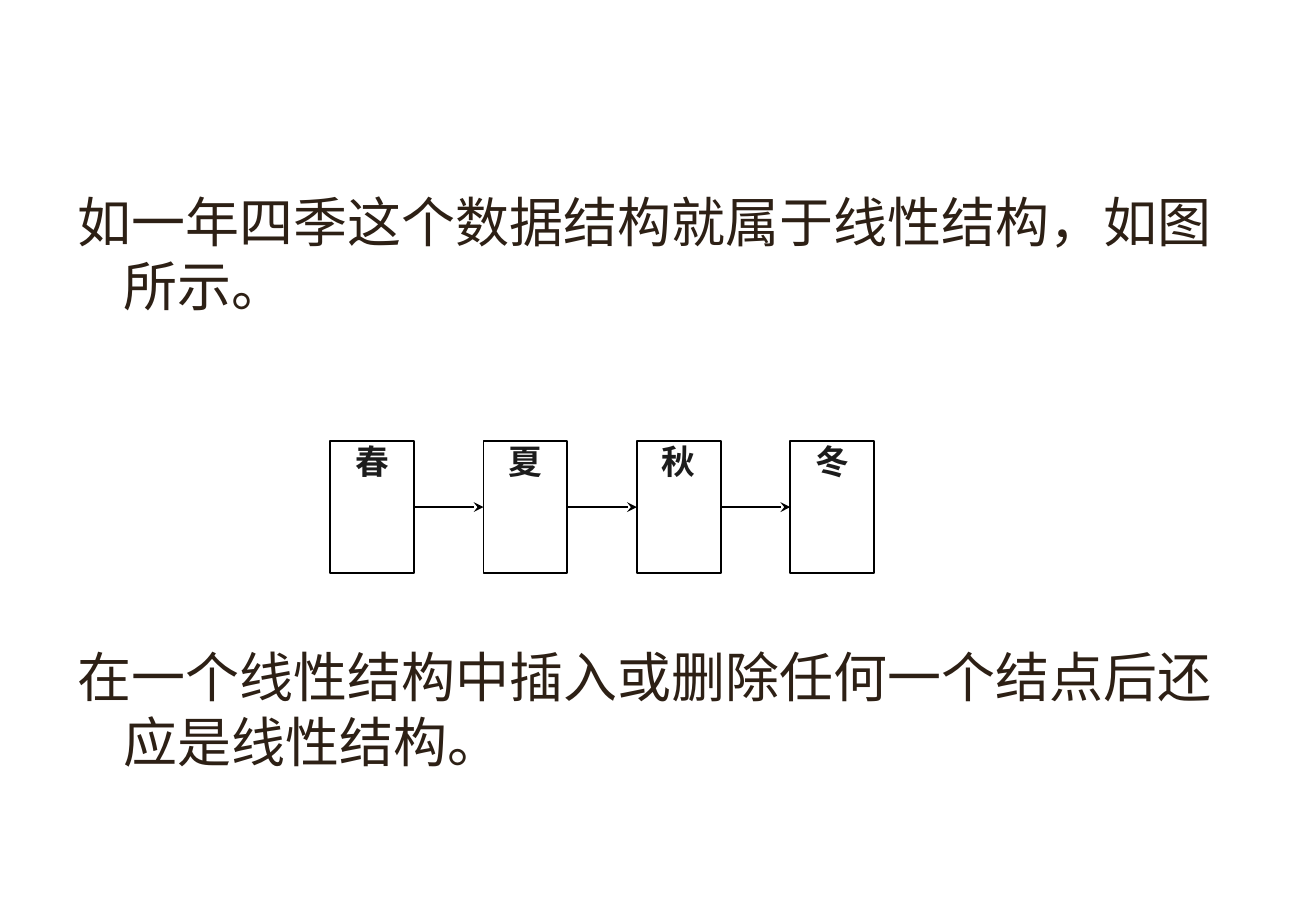
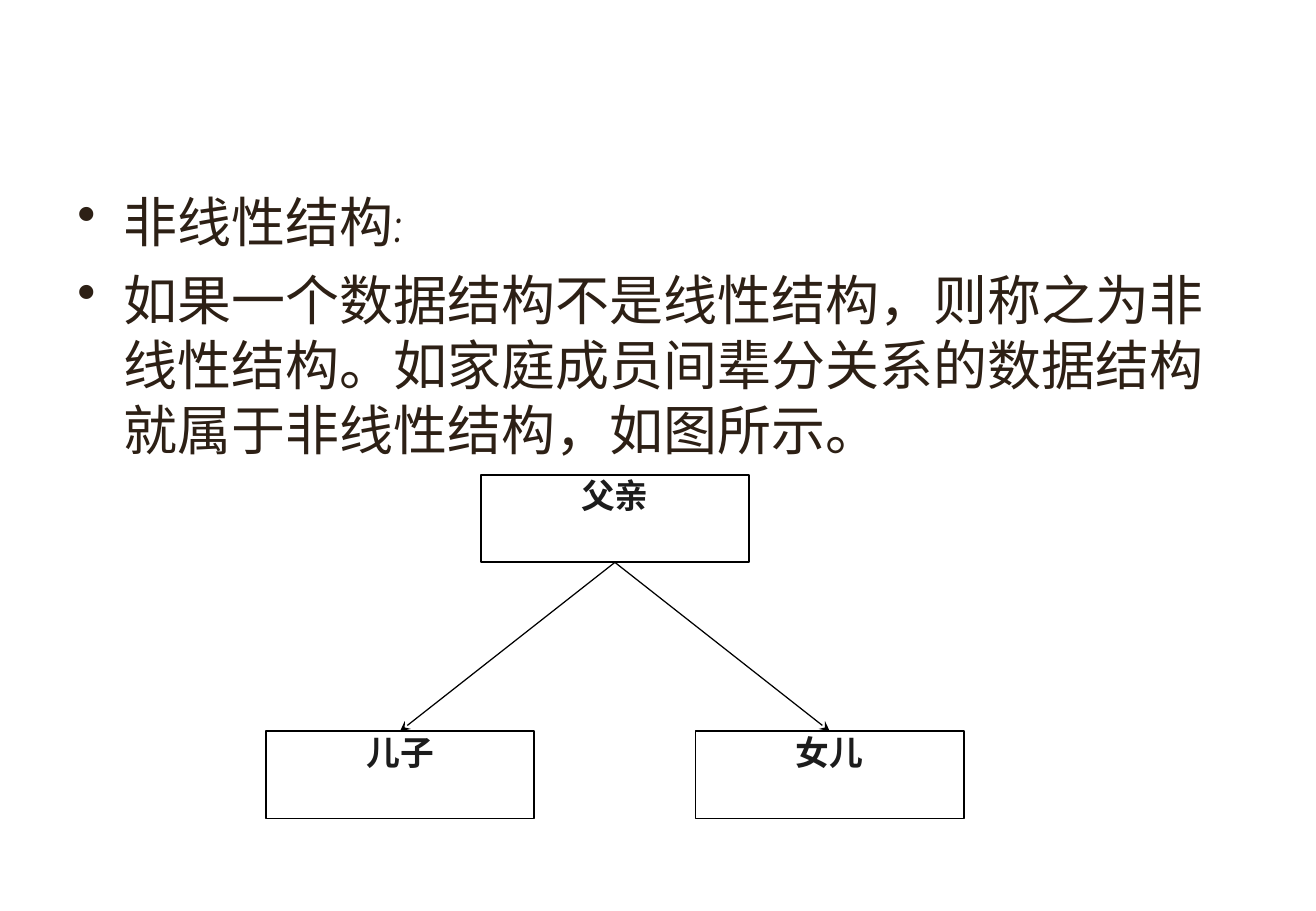
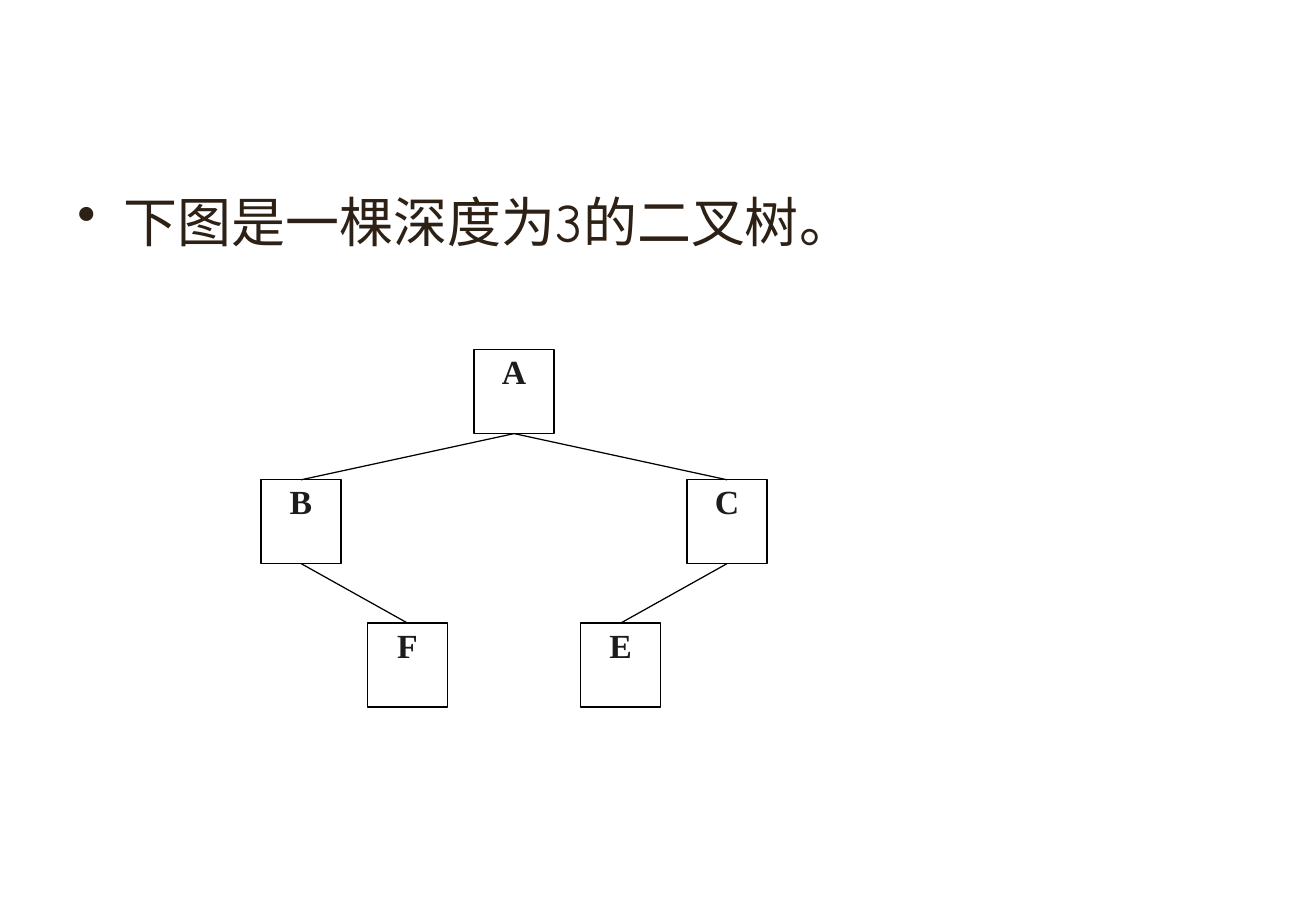
"""Build three slides on linear structures, non-linear structures and binary trees."""
import pptx
import pptx.dml.color
import pptx.enum.lang
import pptx.enum.shapes
import pptx.enum.text
import pptx.oxml.ns
import pptx.util
from lxml import etree

WIDTH, HEIGHT = 10.84, 7.5
COLORS = {"body": "2D2015", "label": "1C1C1C", "line": "000000", "fill": "FFFFFF"}
BODY_BOX = (0.54, 1.5, 9.66, 5)
HANGING = 0.38
BODY_FORMAT = {"name": "Comic Neue", "size": pptx.util.Pt(32)}
LABEL_FORMAT = {"name": "Times New Roman", "size": pptx.util.Pt(20), "bold": True}
TOP, LEFT, BOTTOM, RIGHT = range(4)

SLIDES = [
    {
        "body": [("如一年四季这个数据结构就属于线性结构，如图所示。", 8),
                 ("在一个线性结构中插入或删除任何一个结点后还应是线性结构。", 193)],
        "bullet": False,
        "nodes": {"春": (0, 0), "夏": (1, 0), "秋": (2, 0), "冬": (3, 0)},
        "edges": ["春夏", "夏秋", "秋冬"],
        "sites": (RIGHT, LEFT), "arrow": True,
        "lefts": (2.72, 6.51), "tops": [3.63], "size": (0.69, 1.09),
        "border": 1, "inset": 0,
    },
    {
        "body": [("非线性结构:", 8),
                 ("如果一个数据结构不是线性结构，则称之为非线性结构。"
                  "如家庭成员间辈分关系的数据结构就属于非线性结构，如图所示。", 8)],
        "bullet": True,
        "nodes": {"父亲": (1, 0), "儿子": (0, 1), "女儿": (2, 1)},
        "edges": [("父亲", "儿子"), ("父亲", "女儿")],
        "sites": (BOTTOM, TOP), "arrow": True,
        "lefts": (2.19, 5.73), "tops": [3.91, 6.02], "size": (2.21, 0.72),
        "border": 1, "inset": 0,
    },
    {
        "body": [("下图是一棵深度为3的二叉树。", 8)],
        "bullet": True,
        "nodes": {"A": (2, 0), "B": (0, 1), "C": (4, 1), "F": (1, 2), "E": (3, 2)},
        "edges": ["AB", "AC", "BF", "CE"],
        "sites": (BOTTOM, TOP), "arrow": False,
        "lefts": (2.15, 5.66), "tops": [2.88, 3.95, 5.13], "size": (0.66, 0.69),
        "border": 0.75, "inset": 0.01,
    },
]


def rgb(key):
    """Return the named colour."""
    return pptx.dml.color.RGBColor.from_string(COLORS[key])


def inches(*values):
    """Convert several lengths."""
    return [pptx.util.Inches(v) for v in values]


def add_xml(parent, tag, **attributes):
    """Append a DrawingML element."""
    return etree.SubElement(parent, pptx.oxml.ns.qn(tag), attributes)


def write(p, text, formats, color):
    """Add one formatted run to a paragraph."""
    r = p.add_run()
    r.text = text
    for name, value in formats.items():
        setattr(r.font, name, value)
    r.font.language_id = pptx.enum.lang.MSO_LANGUAGE_ID.SIMPLIFIED_CHINESE
    r.font.color.rgb = rgb(color)


def add_body(s, paragraphs, bullet):
    """Add the body text with hanging indents."""
    tf = s.shapes.add_textbox(*inches(*BODY_BOX)).text_frame
    tf.word_wrap = True
    for i, (text, before) in enumerate(paragraphs):
        p = tf.add_paragraph() if i else tf.paragraphs[0]
        p.space_before = pptx.util.Pt(before)
        write(p, text, BODY_FORMAT, "body")
        indent = pptx.util.Inches(HANGING)
        props = p._p.get_or_add_pPr()
        props.set("marL", str(indent))
        props.set("indent", str(-indent))
        if bullet:
            add_xml(add_xml(props, "a:buClr"), "a:srgbClr", val=COLORS["body"])
            add_xml(props, "a:buChar", char="•")


def add_node(s, label, box, border, inset):
    """Add a labelled box."""
    sp = s.shapes.add_shape(pptx.enum.shapes.MSO_SHAPE.RECTANGLE, *inches(*box))
    sp.shadow.inherit = False
    sp.fill.solid()
    sp.fill.fore_color.rgb = rgb("fill")
    sp.line.color.rgb = rgb("line")
    sp.line.width = pptx.util.Pt(border)
    tf = sp.text_frame
    margins = {"margin_left": 0, "margin_right": 0, "margin_bottom": 0,
               "margin_top": pptx.util.Inches(inset), "word_wrap": True,
               "vertical_anchor": pptx.enum.text.MSO_ANCHOR.TOP}
    for name, value in margins.items():
        setattr(tf, name, value)
    p = tf.paragraphs[0]
    p.alignment = pptx.enum.text.PP_ALIGN.CENTER
    write(p, label, LABEL_FORMAT, "label")
    return sp


def add_edge(s, start, end, sites, arrow):
    """Join two boxes with a straight line."""
    line = s.shapes.add_connector(pptx.enum.shapes.MSO_CONNECTOR.STRAIGHT, 0, 0, 0, 0)
    line.begin_connect(start, sites[0])
    line.end_connect(end, sites[1])
    line.line.color.rgb = rgb("line")
    line.line.width = pptx.util.Pt(0.75)
    if arrow:
        add_xml(line.line._get_or_add_ln(), "a:tailEnd", type="stealth")
    add_xml(line._element.spPr, "a:effectLst")


def add_diagram(s, d):
    """Place the boxes on their grid and connect them."""
    first, last = d["lefts"]
    step = (last - first) / max(col for col, row in d["nodes"].values())
    shapes = {}
    for label, (col, row) in d["nodes"].items():
        box = (first + col * step, d["tops"][row], *d["size"])
        shapes[label] = add_node(s, label, box, d["border"], d["inset"])
    for start, end in d["edges"]:
        add_edge(s, shapes[start], shapes[end], d["sites"], d["arrow"])


def main():
    """Build and save the presentation."""
    prs = pptx.Presentation()
    prs.slide_width, prs.slide_height = inches(WIDTH, HEIGHT)
    for d in SLIDES:
        s = prs.slides.add_slide(prs.slide_layouts[6])
        add_body(s, d["body"], d["bullet"])
        add_diagram(s, d)
    prs.save("out.pptx")


if __name__ == "__main__":
    main()
